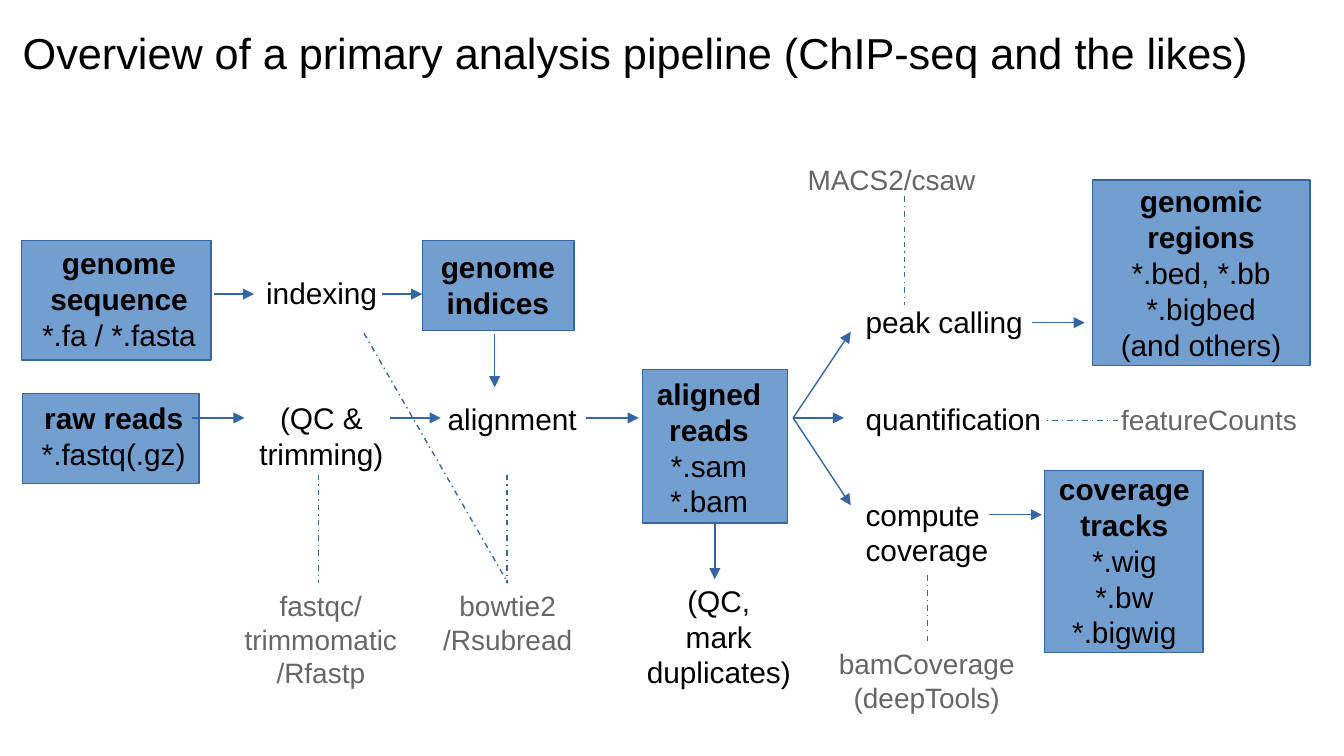
import dataclasses

import pptx
import pptx.dml.color
import pptx.enum.dml
import pptx.enum.shapes
import pptx.enum.text
import pptx.oxml
import pptx.oxml.ns
import pptx.util

Cm = pptx.util.Cm
ALIGN = pptx.enum.text.PP_ALIGN


@dataclasses.dataclass(frozen=True)
class Theme:
    font: str = "Arial"
    fill: str = "729FCF"
    line: str = "3465A4"
    text: str = "000000"
    tool: str = "666666"
    title_size: float = 23.2
    text_size: float = 16
    tool_size: float = 15
    line_width: float = 0.75


def color(value):
    return pptx.dml.color.RGBColor.from_string(value)


class PipelineSlide:
    """Holds the theme and the slide; all lengths are in centimetres."""

    def __init__(self, slide, theme):
        self.slide = slide
        self.theme = theme

    def box(self, left, top, width, height):
        shape = self.slide.shapes.add_shape(
            pptx.enum.shapes.MSO_SHAPE.RECTANGLE,
            Cm(left), Cm(top), Cm(width), Cm(height))
        shape.shadow.inherit = False
        shape.fill.solid()
        shape.fill.fore_color.rgb = color(self.theme.fill)
        shape.line.color.rgb = color(self.theme.line)
        shape.line.width = pptx.util.Pt(self.theme.line_width)
        return shape

    def text(self, text, place, size, text_color, align, bold_paragraphs=0):
        shape = self.slide.shapes.add_textbox(*(Cm(value) for value in place))
        frame = shape.text_frame
        frame.word_wrap = True
        frame.margin_left = frame.margin_right = Cm(0.23)
        frame.margin_top = frame.margin_bottom = Cm(0.11)
        frame.text = text
        for index, paragraph in enumerate(frame.paragraphs):
            paragraph.alignment = align
            for run in paragraph.runs:
                run.font.name = self.theme.font
                run.font.size = pptx.util.Pt(size)
                run.font.color.rgb = color(text_color)
                run.font.bold = index < bold_paragraphs
        return shape

    def title(self, text, place):
        shape = self.text(text, place, self.theme.title_size,
                          self.theme.text, ALIGN.LEFT)
        frame = shape.text_frame
        frame.margin_left = frame.margin_right = 0
        frame.margin_top = frame.margin_bottom = 0
        frame.vertical_anchor = pptx.enum.text.MSO_ANCHOR.MIDDLE

    def data(self, text, place, bold_paragraphs=1):
        self.text(text, place, self.theme.text_size, self.theme.text,
                  ALIGN.CENTER, bold_paragraphs)

    def step(self, text, place, align=ALIGN.LEFT):
        self.text(text, place, self.theme.text_size, self.theme.text, align)

    def tool(self, text, place):
        self.text(text, place, self.theme.tool_size, self.theme.tool, ALIGN.CENTER)

    def connector(self, x1, y1, x2, y2):
        connector = self.slide.shapes.add_connector(
            pptx.enum.shapes.MSO_CONNECTOR.STRAIGHT, Cm(x1), Cm(y1), Cm(x2), Cm(y2))
        connector.line.color.rgb = color(self.theme.line)
        connector.line.width = pptx.util.Pt(self.theme.line_width)
        properties = connector._element.spPr
        properties.append(pptx.oxml.parse_xml(
            f"<a:effectLst {pptx.oxml.ns.nsdecls('a')}/>"))
        return connector

    def arrow(self, *ends):
        connector = self.connector(*ends)
        connector.line._get_or_add_ln().append(pptx.oxml.parse_xml(
            f"<a:tailEnd {pptx.oxml.ns.nsdecls('a')} type='triangle'/>"))
        return connector

    def tool_line(self, *ends):
        connector = self.connector(*ends)
        connector.line.dash_style = pptx.enum.dml.MSO_LINE.DASH_DOT


def main():
    presentation = pptx.Presentation()
    presentation.slide_width = Cm(25.4)
    presentation.slide_height = Cm(14.29)
    slide = presentation.slides.add_slide(presentation.slide_layouts[6])
    pipeline = PipelineSlide(slide, Theme())

    pipeline.title("Overview of a primary analysis pipeline (ChIP-seq and the likes)",
                   (0.43, 0.18, 23.67, 1.6))

    # Data boxes
    aligned_box = pipeline.box(12.14, 6.99, 2.74, 2.9)
    for place in [
        (0.43, 7.44, 3.33, 1.7),    # raw reads
        (7.98, 4.55, 2.87, 1.7),    # genome indices
        (0.41, 4.55, 3.58, 2.26),   # genome sequence
        (19.74, 8.89, 3, 3.45),     # coverage tracks
        (20.65, 3.4, 4.11, 3.51),   # genomic regions
    ]:
        pipeline.box(*place)

    # Data names and file formats
    pipeline.data("raw reads\n*.fastq(.gz)", (0.13, 7.44, 4.04, 1.52))
    pipeline.data("aligned reads\n*.sam\n*.bam", (11.5, 6.99, 3.8, 2.82))
    pipeline.data("genome sequence\n*.fa / *.fasta", (0.23, 4.52, 4.04, 2.16))
    pipeline.data("genome indices", (7.39, 4.6, 4.04, 1.52))
    pipeline.data("coverage\ntracks\n*.wig\n*.bw\n*.bigwig",
                  (19.23, 8.79, 4.04, 3.45), bold_paragraphs=2)
    pipeline.data("genomic\vregions\n*.bed, *.bb\n*.bigbed\n(and others)",
                  (20.68, 3.35, 4.04, 3.45))

    # Processing steps
    pipeline.step("indexing", (4.8, 5.08, 2.69, 0.86))
    pipeline.step("(QC &\ntrimming)", (4.45, 7.44, 3.25, 1.52), ALIGN.CENTER)
    pipeline.step("alignment", (8.23, 7.47, 3, 0.86))
    pipeline.step("(QC,\nmark duplicates)", (11.96, 10.9, 3.25, 2.16), ALIGN.CENTER)
    pipeline.step("peak calling", (16.13, 5.64, 4.01, 0.86))
    pipeline.step("quantification", (16.13, 7.47, 4.57, 0.86))
    pipeline.step("compute\vcoverage", (16.13, 9.27, 3, 1.52))

    # Flow arrows: rows, the drop to alignment, the fan to the analyses
    for y, spans in {
        5.56: [(4.04, 4.8), (7.21, 7.98)],
        7.9: [(3.63, 4.62), (7.37, 8.33), (11.07, 12.07)],
        6.1: [(19.51, 20.5)],
        9.73: [(18.69, 19.69)],
    }.items():
        for start, end in spans:
            pipeline.arrow(start, y, end, y)
    pipeline.arrow(9.35, 6.32, 9.35, 7.32)
    for x, y in [(15.95, 7.9), (16.08, 6.27), (16.08, 9.55)]:
        pipeline.arrow(14.99, 7.9, x, y)
    quality_arrow = pipeline.arrow(13.51, 9.89, 13.51, 10.95)
    quality_arrow.begin_connect(aligned_box, 2)

    # Tools and the dashed lines to their steps
    pipeline.tool("fastqc/\ntrimmomatic\v/Rfastp", (4.34, 11.02, 3.45, 2.31))
    pipeline.tool("bowtie2\n/Rsubread", (7.87, 11.02, 3.45, 1.14))
    pipeline.tool("MACS2/csaw", (14.83, 2.97, 4.04, 0.79))
    pipeline.tool("bamCoverage\n(deepTools)", (15.57, 12.12, 3.89, 1.93))
    pipeline.tool("featureCounts", (20.83, 7.49, 4.04, 0.79))
    for ends in [
        (6.02, 8.97, 6.02, 11.02),
        (9.58, 8.97, 9.58, 11.02),
        (6.88, 6.3, 9.6, 11.02),
        (17.09, 3.71, 17.09, 5.77),
        (17.53, 10.87, 17.53, 12.19),
        (21.13, 7.95, 19.79, 7.95),
    ]:
        pipeline.tool_line(*ends)

    presentation.save("out.pptx")


if __name__ == "__main__":
    main()
